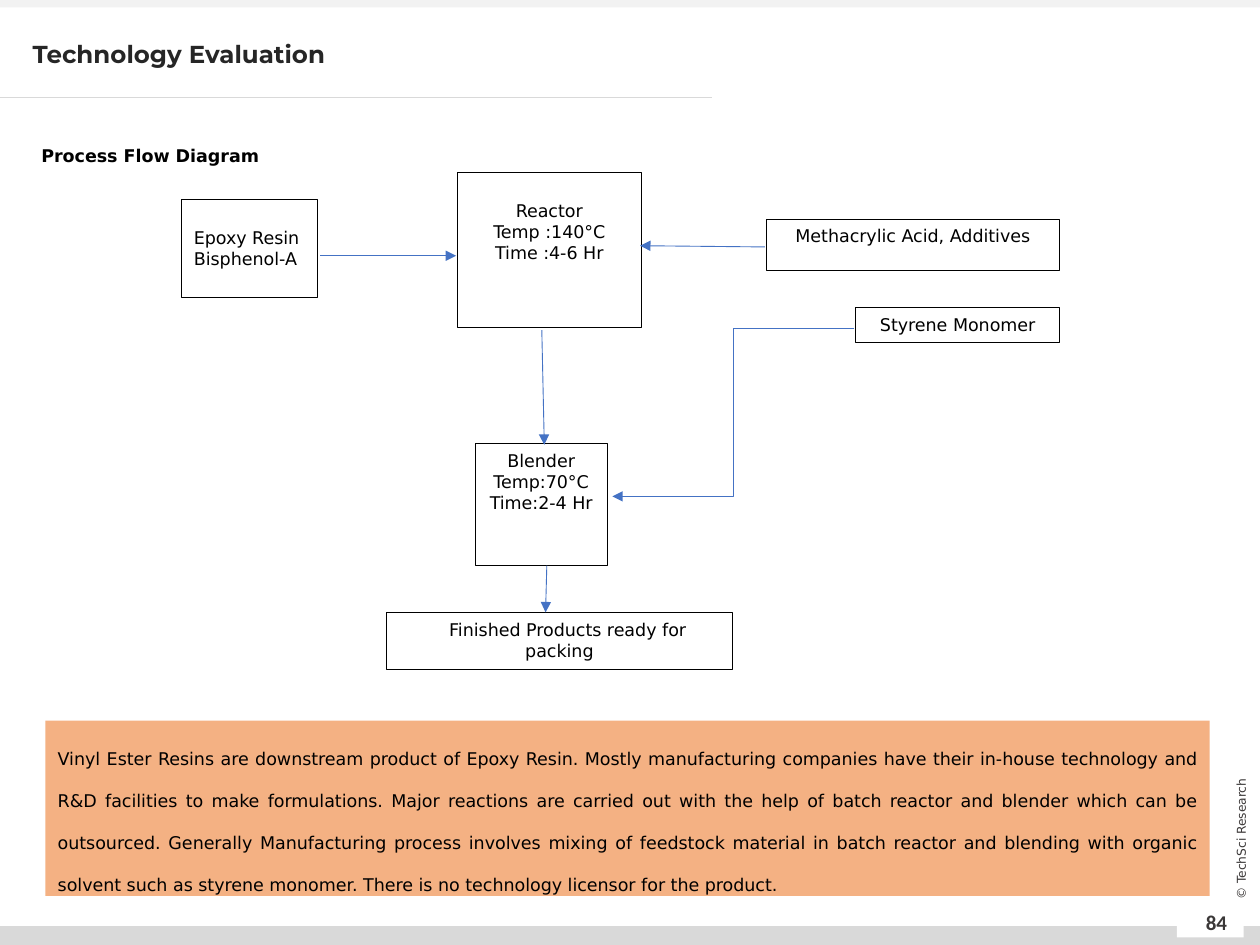
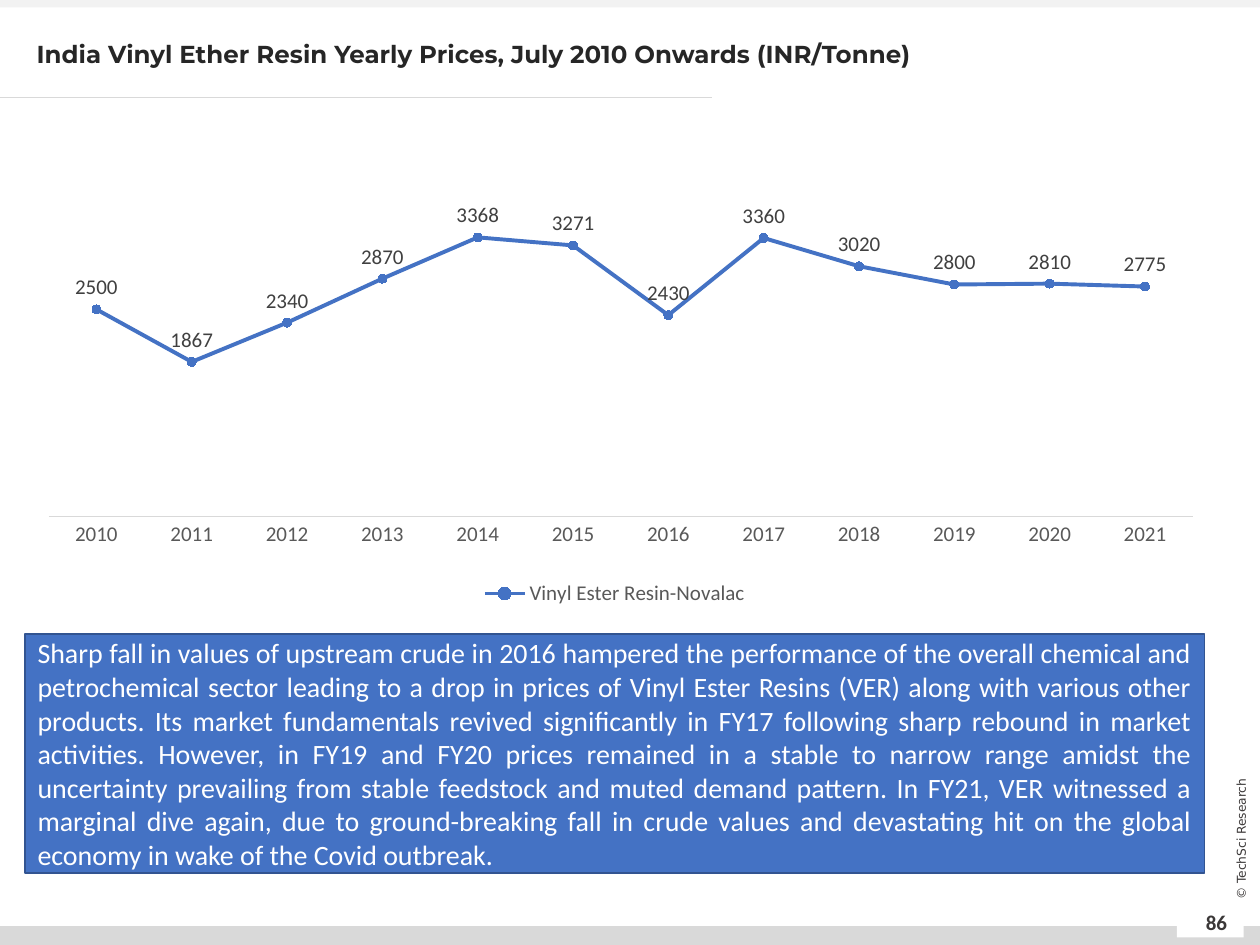
from dataclasses import dataclass
from lxml import etree
from pptx import Presentation
from pptx.chart.data import CategoryChartData
from pptx.dml.color import RGBColor
from pptx.enum.chart import (XL_CHART_TYPE, XL_LABEL_POSITION, XL_LEGEND_POSITION,
                             XL_MARKER_STYLE, XL_TICK_MARK)
from pptx.enum.shapes import MSO_CONNECTOR, MSO_SHAPE
from pptx.enum.text import MSO_ANCHOR, MSO_AUTO_SIZE, PP_ALIGN
from pptx.oxml.ns import qn
from pptx.util import Inches, Pt

LEFT, CENTER, JUSTIFY = PP_ALIGN.LEFT, PP_ALIGN.CENTER, PP_ALIGN.JUSTIFY
TOP, MIDDLE = MSO_ANCHOR.TOP, MSO_ANCHOR.MIDDLE
STRAIGHT, ELBOW = MSO_CONNECTOR.STRAIGHT, MSO_CONNECTOR.ELBOW


@dataclass(frozen=True)
class Theme:
    white: str = "FFFFFF"
    black: str = "000000"
    blue: str = "4472C4"
    navy: str = "325491"
    orange: str = "F4B183"
    band: str = "F2F2F2"
    rule: str = "D9D9D9"
    title: str = "262626"
    footer: str = "3B3838"
    axis: str = "595959"
    label: str = "404040"
    head: str = "Montserrat"
    sans: str = "DejaVu Sans"
    body: str = "Calibri"
    tiny: int = 7
    small: int = 10
    medium: int = 12
    large: int = 14
    note: int = 16
    hair: float = 0.5


T = Theme()
prs = Presentation()
prs.slide_width, prs.slide_height = Inches(10), Inches(7.5)
COL, ROW = prs.slide_width / 100, prs.slide_height / 75


def write(tf, lines, font, size, color, bold=False, align=LEFT, spacing=None, **frame):
    options = {"word_wrap": True, "auto_size": MSO_AUTO_SIZE.NONE, "vertical_anchor": TOP}
    for name, value in (options | frame).items():
        setattr(tf, name, value)
    for i, line in enumerate(lines):
        p = tf.paragraphs[0] if i == 0 else tf.add_paragraph()
        p.alignment, p.line_spacing = align, spacing
        r = p.add_run()
        r.text = line
        for name, value in {"name": font, "size": Pt(size), "bold": bold}.items():
            setattr(r.font, name, value)
        r.font.color.rgb = RGBColor.from_string(color)


def box(s, x, y, w, h, fill=None, line=None, weight=T.hair):
    at = [int(v) for v in (x * COL, y * ROW, w * COL, h * ROW)]
    if fill is None:
        return s.shapes.add_textbox(*at)
    sp = s.shapes.add_shape(MSO_SHAPE.RECTANGLE, *at)
    sp.shadow.inherit = False
    sp.fill.solid()
    sp.fill.fore_color.rgb = RGBColor.from_string(fill)
    if line is None:
        sp.line.fill.background()
    else:
        sp.line.color.rgb = RGBColor.from_string(line)
        sp.line.width = Pt(weight)
    return sp


bands = [(0, 0, 100, 0.6, T.band), (0, 73.5, 100, 1.5, T.rule), (93.4, 72.2, 5.3, 2.2, T.white)]
no_margins = {f"margin_{side}": 0 for side in ("left", "right", "top", "bottom")}
pages = [("Technology Evaluation", 1.6, "84"),
         ("India Vinyl Ether Resin Yearly Prices, July 2010 Onwards (INR/Tonne)", 1.9, "86")]
slides, links = [], []
for title, left, number in pages:
    s = prs.slides.add_slide(prs.slide_layouts[5])
    slides.append(s)
    for band in bands:
        box(s, *band)
    sp = s.shapes.title
    sp.left, sp.top, sp.width, sp.height = (
        int(v) for v in (left * COL, 1.1 * ROW, 96 * COL, 6.7 * ROW))
    write(sp.text_frame, [title], T.head, T.large, T.title, True, spacing=0.9,
          vertical_anchor=MIDDLE)
    write(box(s, 94.1, 71.2, 4.9, 4).text_frame, [number], T.body, T.medium, T.footer,
          True, CENTER, vertical_anchor=MIDDLE)
    sp = box(s, 92.5, 65.8, 12, 1.6)
    sp.rotation = 270
    write(sp.text_frame, ["© TechSci Research"], T.sans, T.tiny, T.footer, False, CENTER,
          vertical_anchor=MIDDLE, **no_margins)
    links.append((s, STRAIGHT, (0, 7.7, 56.5, 7.7), T.rule, False))

flow, prices = slides

write(box(flow, 2.3, 11, 19.4, 2.7).text_frame, ["Process Flow Diagram"], T.sans, T.small,
      T.black, True, word_wrap=False, vertical_anchor=MIDDLE)

low, high = Inches(0.22), Inches(0.05)
steps = [
    ((14.4, 15.8, 10.8, 7.8), ["Epoxy Resin", "Bisphenol-A"], LEFT, low),
    ((36.3, 13.7, 14.6, 12.3), ["Reactor", "Temp :140°C", "Time :4-6 Hr"], CENTER, low),
    ((37.7, 35.2, 10.5, 9.7), ["Blender", "Temp:70°C", "Time:2-4 Hr"], CENTER, high),
    ((67.9, 24.4, 16.2, 2.8), ["Styrene Monomer"], CENTER, high),
    ((60.8, 17.4, 23.3, 4.1), ["Methacrylic Acid, Additives"], CENTER, high),
    ((30.7, 48.6, 27.4, 4.5), ["Finished Products ready for packing"], CENTER, high),
]
for at, lines, align, top in steps:
    sp = box(flow, *at, T.white, T.black)
    write(sp.text_frame, lines, T.sans, T.small, T.black, False, align, margin_top=top)
sp.text_frame.paragraphs[0]._p.get_or_add_pPr().set("indent", str(Inches(0.13)))

arrows = [
    (STRAIGHT, (25.4, 20.3, 36.2, 20.3)),
    (STRAIGHT, (60.7, 19.6, 50.8, 19.5)),
    (STRAIGHT, (43, 26.2, 43.2, 35.3)),
    (ELBOW, (67.8, 26.1, 48.6, 39.4)),
    (STRAIGHT, (43.4, 44.9, 43.3, 48.6)),
]
links += [(flow, kind, ends, T.blue, True) for kind, ends in arrows]
for s, kind, (x1, y1, x2, y2), color, arrow in links:
    cx = s.shapes.add_connector(kind, *(int(v) for v in (x1 * COL, y1 * ROW, x2 * COL, y2 * ROW)))
    cx.line.color.rgb = RGBColor.from_string(color)
    cx.line.width = Pt(T.hair)
    if arrow:
        etree.SubElement(cx.line._get_or_add_ln(), qn("a:tailEnd"), type="triangle")
    etree.SubElement(cx._element.spPr, qn("a:effectLst"))

write(box(flow, 3.6, 57.2, 92.4, 13.9, T.orange).text_frame, [
    "Vinyl Ester Resins are downstream product of Epoxy Resin. Mostly manufacturing companies "
    "have their in-house technology and R&D facilities to make formulations. Major reactions are "
    "carried out with the help of batch reactor and blender which can be outsourced. Generally "
    "Manufacturing process involves mixing of feedstock material in batch reactor and blending "
    "with organic solvent such as styrene monomer. There is no technology licensor for the product."
], T.sans, T.small, T.black, False, JUSTIFY, 2.0)

data = CategoryChartData()
data.categories = [str(year) for year in range(2010, 2022)]
data.add_series("Vinyl Ester Resin-Novalac",
                [2500, 1867, 2340, 2870, 3368, 3271, 2430, 3360, 3020, 2800, 2810, 2775])
chart = prices.shapes.add_chart(
    XL_CHART_TYPE.LINE_MARKERS_STACKED,
    *(int(v) for v in (2 * COL, 12.9 * ROW, 93.6 * COL, 35.6 * ROW)), data).chart
chart.has_title = False
chart.has_legend = True
chart.legend.position = XL_LEGEND_POSITION.BOTTOM
chart.legend.include_in_layout = False

axis = chart.value_axis
for name, value in {"visible": False, "has_major_gridlines": False,
                    "minimum_scale": 0, "maximum_scale": 4000}.items():
    setattr(axis, name, value)
axis = chart.category_axis
axis.major_tick_mark = axis.minor_tick_mark = XL_TICK_MARK.NONE
axis.format.line.color.rgb = RGBColor.from_string(T.rule)
axis.format.line.width = Pt(0.75)

plot = chart.plots[0]
plot.vary_by_categories = False
series = plot.series[0]
series.smooth = False
series.format.line.color.rgb = RGBColor.from_string(T.blue)
series.format.line.width = Pt(2.25)
series.marker.style, series.marker.size = XL_MARKER_STYLE.CIRCLE, 5
series.marker.format.fill.solid()
series.marker.format.fill.fore_color.rgb = RGBColor.from_string(T.blue)
series.marker.format.line.color.rgb = RGBColor.from_string(T.blue)
labels = series.data_labels
labels.show_value, labels.position = True, XL_LABEL_POSITION.ABOVE

for font, size, color in [(chart.font, T.small, T.black),
                          (chart.legend.font, T.medium, T.axis),
                          (axis.tick_labels.font, T.medium, T.axis),
                          (labels.font, T.medium, T.label)]:
    font.name, font.size = T.body, Pt(size)
    font.color.rgb = RGBColor.from_string(color)

area = chart._chartSpace.chart.plotArea
for old in area.findall(qn("c:layout")):
    area.remove(old)
layout = etree.Element(qn("c:layout"))
area.insert(0, layout)
manual = etree.SubElement(layout, qn("c:manualLayout"))
for tag, value in {"layoutTarget": "inner", "xMode": "edge", "yMode": "edge",
                   "x": 0.02, "y": 0.05, "w": 0.97, "h": 0.74}.items():
    etree.SubElement(manual, qn(f"c:{tag}"), val=str(value))

write(box(prices, 2, 50.3, 93.6, 19, T.blue, T.navy, 1).text_frame, [
    "Sharp fall in values of upstream crude in 2016 hampered the performance of the overall "
    "chemical and petrochemical sector leading to a drop in prices of Vinyl Ester Resins (VER) "
    "along with various other products. Its market fundamentals revived significantly in FY17 "
    "following sharp rebound in market activities. However, in FY19 and FY20 prices remained in "
    "a stable to narrow range amidst the uncertainty prevailing from stable feedstock and muted "
    "demand pattern. In FY21, VER witnessed a marginal dive again, due to ground-breaking fall in "
    "crude values and devastating hit on the global economy in wake of the Covid outbreak."
], T.body, T.note, T.white, False, JUSTIFY, vertical_anchor=MIDDLE)

prs.save("out.pptx")
